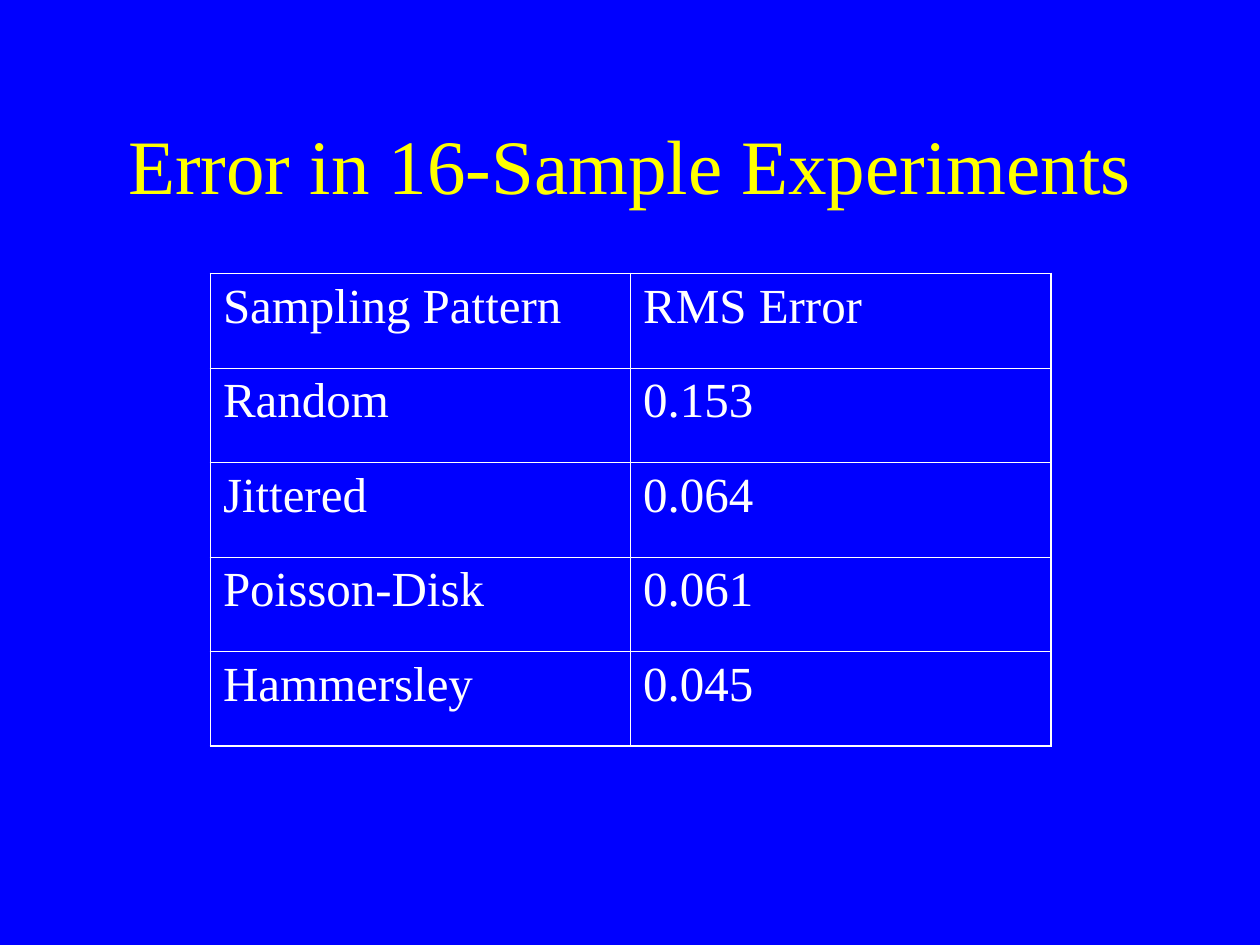
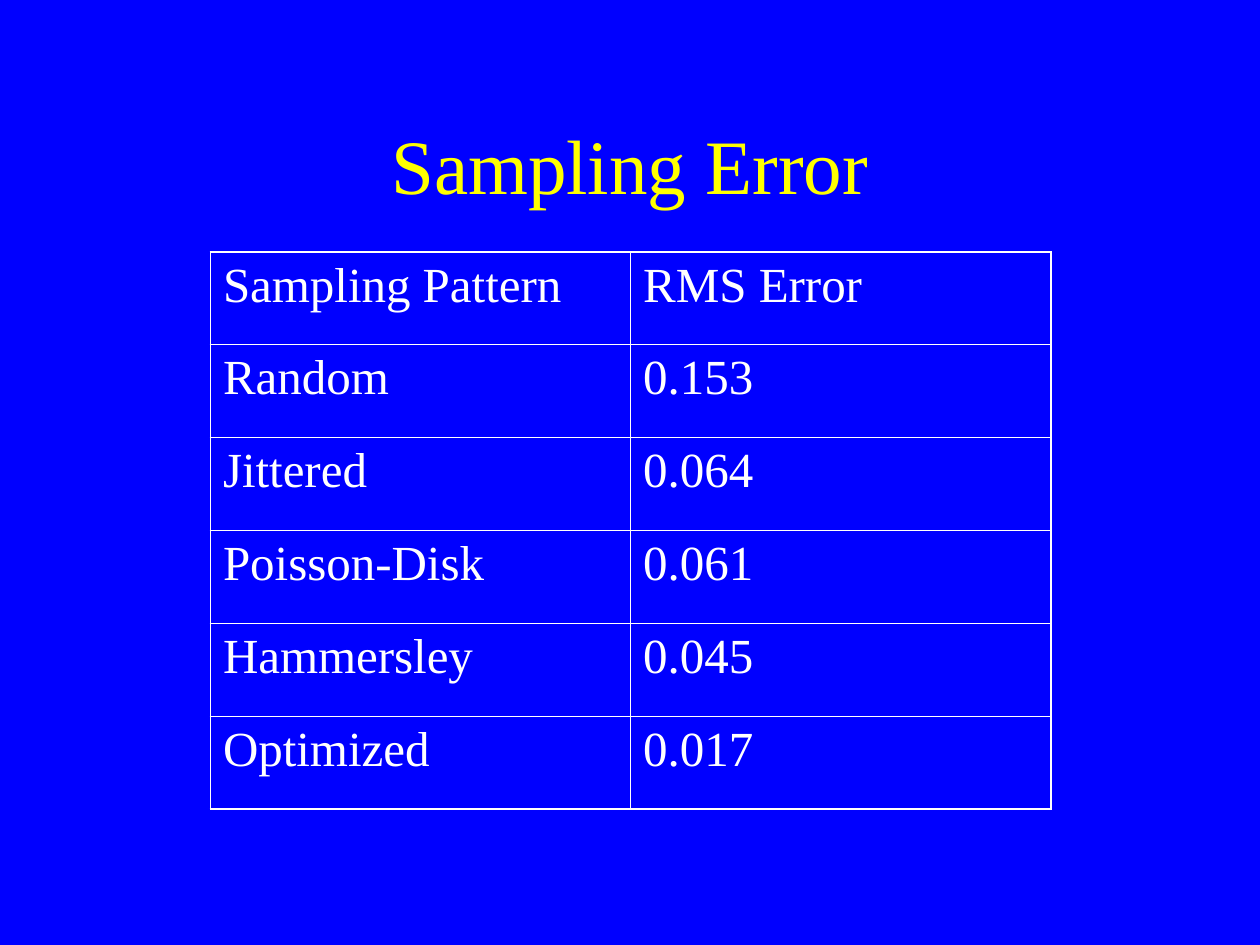
from lxml import etree
from pptx import Presentation
from pptx.dml.color import RGBColor
from pptx.enum.text import MSO_ANCHOR, PP_ALIGN
from pptx.oxml.ns import qn
from pptx.util import Inches, Pt

HEAD = ("Sampling Pattern", "RMS Error")
ERRORS = [
    ("Random", "0.153"),
    ("Jittered", "0.064"),
    ("Poisson-Disk", "0.061"),
    ("Hammersley", "0.045"),
]
BEST = ("Optimized", "0.017")
SLIDES = [
    {"title": "Error in 16-Sample Experiments", "rows": [HEAD, *ERRORS],
     "top": 2.17, "high": 3.75},
    {"title": "Sampling Error", "rows": [HEAD, *ERRORS, BEST],
     "top": 2, "high": 4.42},
]

BLUE = RGBColor(0x00, 0x00, 0xFF)
YELLOW = RGBColor(0xFF, 0xFF, 0x00)
WHITE = RGBColor(0xFF, 0xFF, 0xFF)
FONT = "Times New Roman"
CENTER = PP_ALIGN.CENTER
MIDDLE = MSO_ANCHOR.MIDDLE
TOP = MSO_ANCHOR.TOP
OUTER, INNER = Pt(1.08), Pt(0.45)
LEFT, WIDE = 1.67, 6.67


def write(para, text, size, color):
    run = para.add_run()
    run.text = text
    run.font.name = FONT
    run.font.size = Pt(size)
    run.font.color.rgb = color


def add_title(slide, text):
    box = slide.shapes.add_textbox(
        Inches(0.75), Inches(0.67), Inches(8.5), Inches(1.25))
    frame = box.text_frame
    frame.word_wrap = True
    frame.vertical_anchor = MIDDLE
    para = frame.paragraphs[0]
    para.alignment = CENTER
    write(para, text, 44, YELLOW)


def add_edge(cell, side, width):
    props = cell._tc.get_or_add_tcPr()
    line = etree.SubElement(props, qn("a:ln" + side), w=str(int(width)))
    fill = etree.SubElement(line, qn("a:solidFill"))
    etree.SubElement(fill, qn("a:srgbClr"), val=str(WHITE))


def add_grid(slide, rows, top, high):
    count, cols = len(rows), len(rows[0])
    frame = slide.shapes.add_table(
        count, cols, Inches(LEFT), Inches(top), Inches(WIDE), Inches(high))
    table = frame.table
    table.first_row = False
    table.horz_banding = False
    for r, row in enumerate(rows):
        table.rows[r].height = Inches(high / count)
        for c, text in enumerate(row):
            cell = table.cell(r, c)
            cell.vertical_anchor = TOP
            outer = {"L": c == 0, "R": c == cols - 1,
                     "T": r == 0, "B": r == count - 1}
            for side, edge in outer.items():
                add_edge(cell, side, OUTER if edge else INNER)
            cell.fill.background()
            write(cell.text_frame.paragraphs[0], text, 28, WHITE)


def main():
    deck = Presentation()
    deck.slide_width, deck.slide_height = Inches(10), Inches(7.5)
    for page in SLIDES:
        slide = deck.slides.add_slide(deck.slide_layouts[6])
        slide.background.fill.solid()
        slide.background.fill.fore_color.rgb = BLUE
        add_title(slide, page["title"])
        add_grid(slide, page["rows"], page["top"], page["high"])
    deck.save("out.pptx")


if __name__ == "__main__":
    main()
